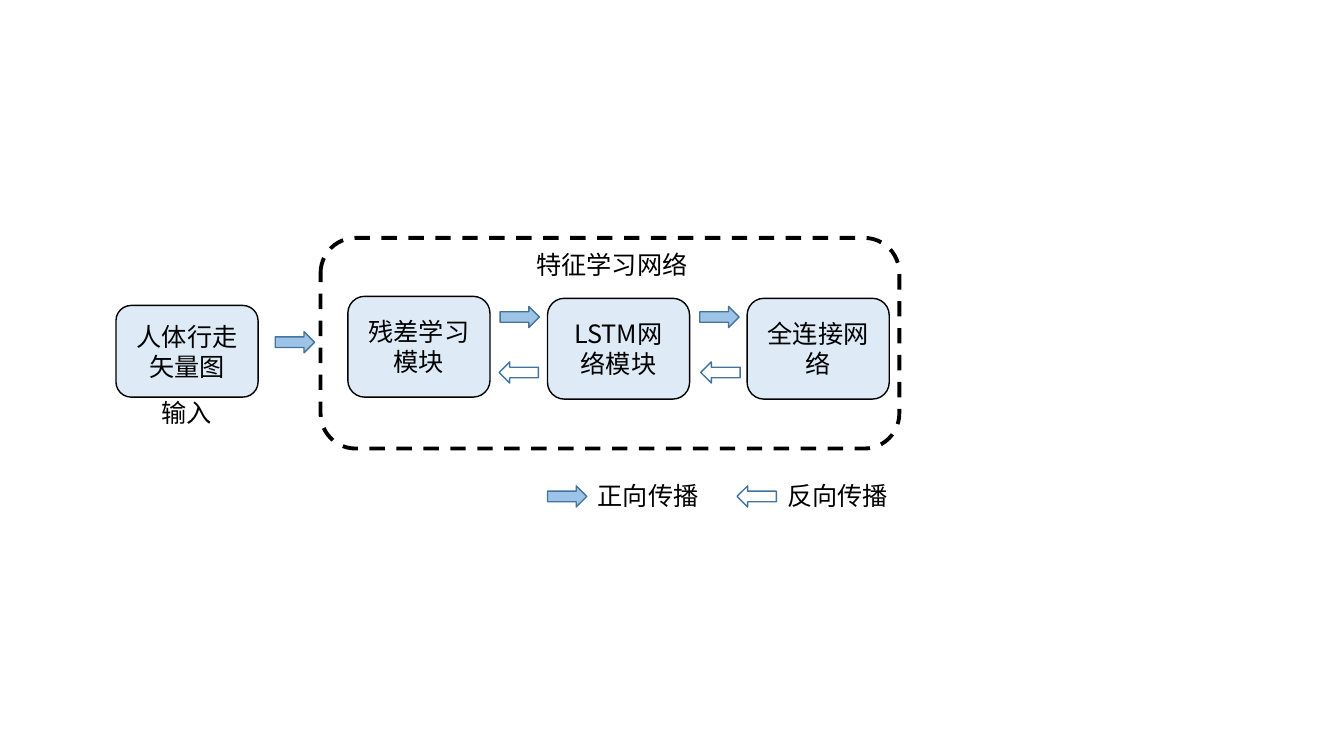
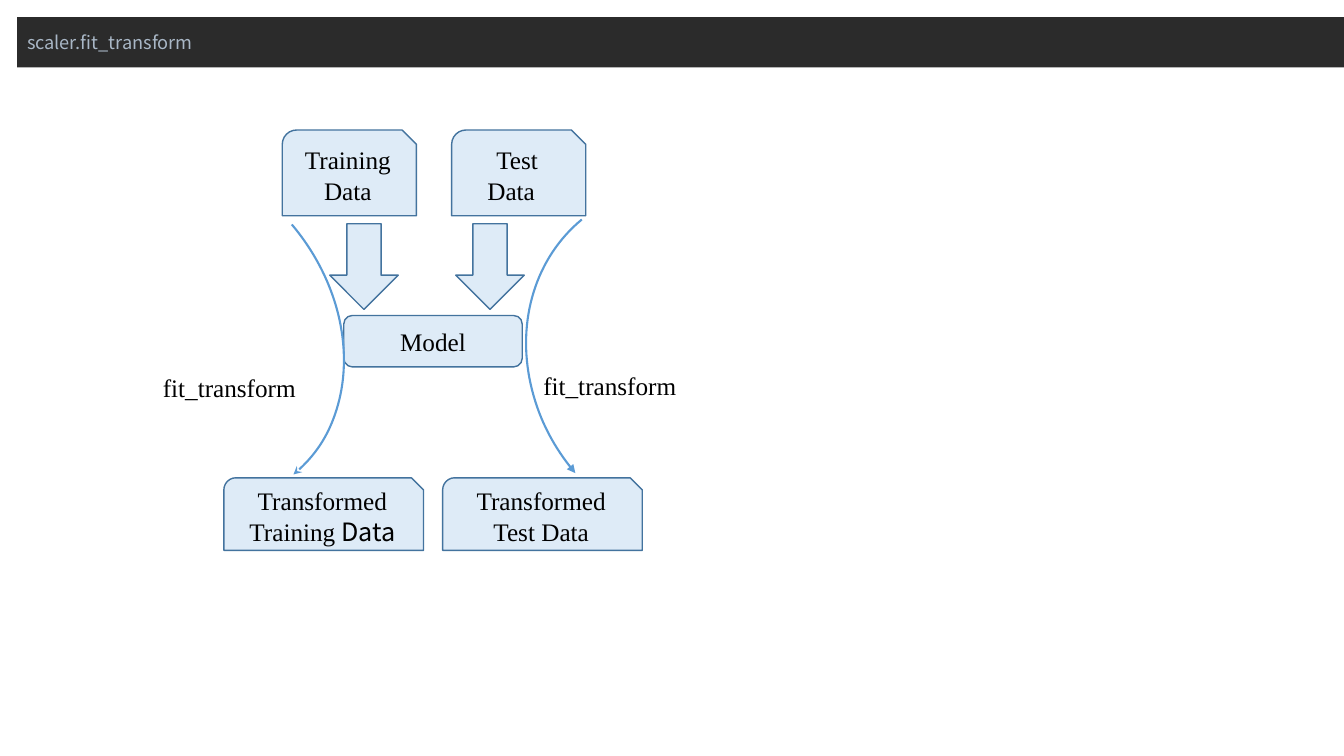
from lxml.etree import SubElement
from pptx import Presentation
from pptx.dml.color import RGBColor
from pptx.enum.dml import MSO_LINE
from pptx.enum.shapes import MSO_SHAPE
from pptx.enum.text import MSO_ANCHOR, PP_ALIGN
from pptx.oxml.ns import qn
from pptx.util import Inches, Pt

SANS, SERIF = "Noto Sans CJK SC", "Times New Roman"
BLACK, WHITE = "000000", "FFFFFF"
PALE, ARROW, EDGE, CURVE = "DEEBF7", "9DC3E6", "43739E", "5B9BD5"
BAND, CODE = "2B2B2B", "A9B7C6"


def rgb(value):
    """Turn a hex string into a colour."""
    return RGBColor.from_string(value)


def write(sp, lines, font, size=18, color=BLACK, align=PP_ALIGN.CENTER,
          anchor=MSO_ANCHOR.MIDDLE, wrap=True):
    """Fill a shape with one paragraph per line and return the paragraphs."""
    tf = sp.text_frame
    tf.word_wrap = wrap
    tf.vertical_anchor = anchor
    tf.text = "\n".join(lines)
    for p in tf.paragraphs:
        p.alignment = align
        p.font.name = font
        p.font.size = Pt(size)
        p.font.color.rgb = rgb(color)
        SubElement(p._p.pPr.find(qn("a:defRPr")), qn("a:ea"), typeface=font)
    return tf.paragraphs


def shape(s, kind, x, y, w, h, fill=PALE, line=EDGE, weight=1, rotation=0):
    """Add a flat preset shape; no fill or line colour means none is drawn."""
    sp = s.shapes.add_shape(kind, Inches(x), Inches(y), Inches(w), Inches(h))
    sp.shadow.inherit = False
    sp.rotation = rotation
    if fill:
        sp.fill.solid()
        sp.fill.fore_color.rgb = rgb(fill)
    else:
        sp.fill.background()
    if line:
        sp.line.color.rgb = rgb(line)
        sp.line.width = Pt(weight)
    else:
        sp.line.fill.background()
    return sp


def label(s, text, x, y, w, font, align=PP_ALIGN.LEFT, wrap=True):
    """Add a one-line text box."""
    sp = s.shapes.add_textbox(Inches(x), Inches(y), Inches(w), Inches(0.4))
    write(sp, [text], font, align=align, anchor=MSO_ANCHOR.TOP, wrap=wrap)


def block(s, text, x, y, h):
    """Add a rounded network block."""
    sp = shape(s, MSO_SHAPE.ROUNDED_RECTANGLE, x, y, 1.41, h, line=BLACK)
    write(sp, [text], SANS)


def flow(s, x, y, forward=True):
    """Add a small forward or backward propagation arrow."""
    shape(s, MSO_SHAPE.RIGHT_ARROW, x, y, 0.39, 0.21,
          fill=ARROW if forward else WHITE, rotation=0 if forward else 180)


def input_block(s, x, y):
    """Draw the input block, its caption and the arrow leaving it."""
    block(s, "人体行走矢量图", x, y, 0.91)
    label(s, "输入", x + 0.35, y + 0.86, 0.88, SANS)
    flow(s, x + 1.58, y + 0.26)


def feature_network(s, x, y):
    """Draw the dashed frame with its three modules and arrows."""
    frame = shape(s, MSO_SHAPE.ROUNDED_RECTANGLE, x, y, 5.74, 2.09,
                  fill=WHITE, line=BLACK, weight=2.75)
    frame.line.dash_style = MSO_LINE.DASH
    label(s, "特征学习网络", x + 2.04, y + 0.06, 1.72, SANS, wrap=False)
    modules = [("残差学习模块", 0.58), ("LSTM网络模块", 0.6), ("全连接网络", 0.6)]
    for i, (text, dy) in enumerate(modules):
        block(s, text, x + 0.27 + 1.98 * i, y + dy, 1)
    for i in range(2):
        flow(s, x + 1.78 + 1.98 * i, y + 0.68)
        flow(s, x + 1.77 + 2 * i, y + 1.23, forward=False)


def legend(s, x, y):
    """Explain the two kinds of arrow."""
    for i, text in enumerate(["正向传播", "反向传播"]):
        left = x + 1.88 * i
        flow(s, left, y + 0.1, forward=i == 0)
        label(s, text, left + 0.4, y, 1.67, SANS)


def card(s, lines, x, y, w, h):
    """Add a data card with one snipped corner and return its paragraphs."""
    sp = shape(s, MSO_SHAPE.SNIP_ROUND_RECTANGLE, x, y, w, h)
    return write(sp, lines, SERIF)


def curve(s, x, y, w, h, rotation, end, style):
    """Add a quarter arc with an arrowhead at the given end."""
    sp = shape(s, MSO_SHAPE.ARC, x, y, w, h, fill=None, line=CURVE,
               weight=1.5, rotation=rotation)
    sp.adjustments[0] = 161.36
    sp.adjustments[1] = 0
    SubElement(sp.line._get_or_add_ln(), qn(end), type=style)


def title_band(s, text, x, y):
    """Draw the dark code band up to the right edge of the slide."""
    sp = shape(s, MSO_SHAPE.RECTANGLE, x, y, 13.33 - x, 0.5, fill=BAND, line=None)
    write(sp, [text], SANS, size=13, color=CODE, align=PP_ALIGN.LEFT)


def source_data(s, x, y):
    """Draw the two source cards and the arrows below them."""
    card(s, ["Training", "Data"], x, y, 1.33, 0.85)
    test = card(s, ["Test", "Data"], x + 1.68, y, 1.33, 0.85)
    test[1]._p.pPr.set("marR", str(Inches(0.12)))
    for dx in (0.47, 1.72):
        shape(s, MSO_SHAPE.DOWN_ARROW, x + dx, y + 0.93, 0.68, 0.85)


def model(s, x, y):
    """Draw the model with the curved transform paths on both sides."""
    sp = shape(s, MSO_SHAPE.ROUNDED_RECTANGLE, x, y, 1.77, 0.51)
    write(sp, ["Model"], SERIF)
    curve(s, x - 3.6, y - 1.45, 3.79, 3.13, 50.5, "a:tailEnd", "stealth")
    curve(s, x + 1.68, y - 1.16, 3.74, 3.3, 230.5, "a:headEnd", "triangle")
    label(s, "fit_transform", x - 1.9, y + 0.51, 1.53, SERIF,
          align=PP_ALIGN.CENTER, wrap=False)
    label(s, "fit_transform", x + 1.88, y + 0.49, 2.91, SERIF)


def transformed_data(s, x, y):
    """Draw the two result cards."""
    training = card(s, ["Transformed", "Training"], x, y, 1.98, 0.72)
    r = training[1].add_run()
    r.text = " Data"
    r.font.name = SANS
    card(s, ["Transformed", "Test Data"], x + 2.17, y, 1.98, 0.72)


def network_slide(prs):
    """Build the feature learning network slide."""
    s = prs.slides.add_slide(prs.slide_layouts[6])
    input_block(s, 1.15, 3.03)
    feature_network(s, 3.18, 2.36)
    legend(s, 5.43, 4.72)


def scaler_slide(prs):
    """Build the scaler slide."""
    s = prs.slides.add_slide(prs.slide_layouts[6])
    source_data(s, 2.8, 1.29)
    model(s, 3.41, 3.13)
    transformed_data(s, 2.22, 4.74)
    title_band(s, "scaler.fit_transform", 0.17, 0.17)


def main():
    """Build and save the presentation."""
    prs = Presentation()
    prs.slide_width, prs.slide_height = Inches(13.33), Inches(7.5)
    network_slide(prs)
    scaler_slide(prs)
    prs.save("out.pptx")


if __name__ == "__main__":
    main()
